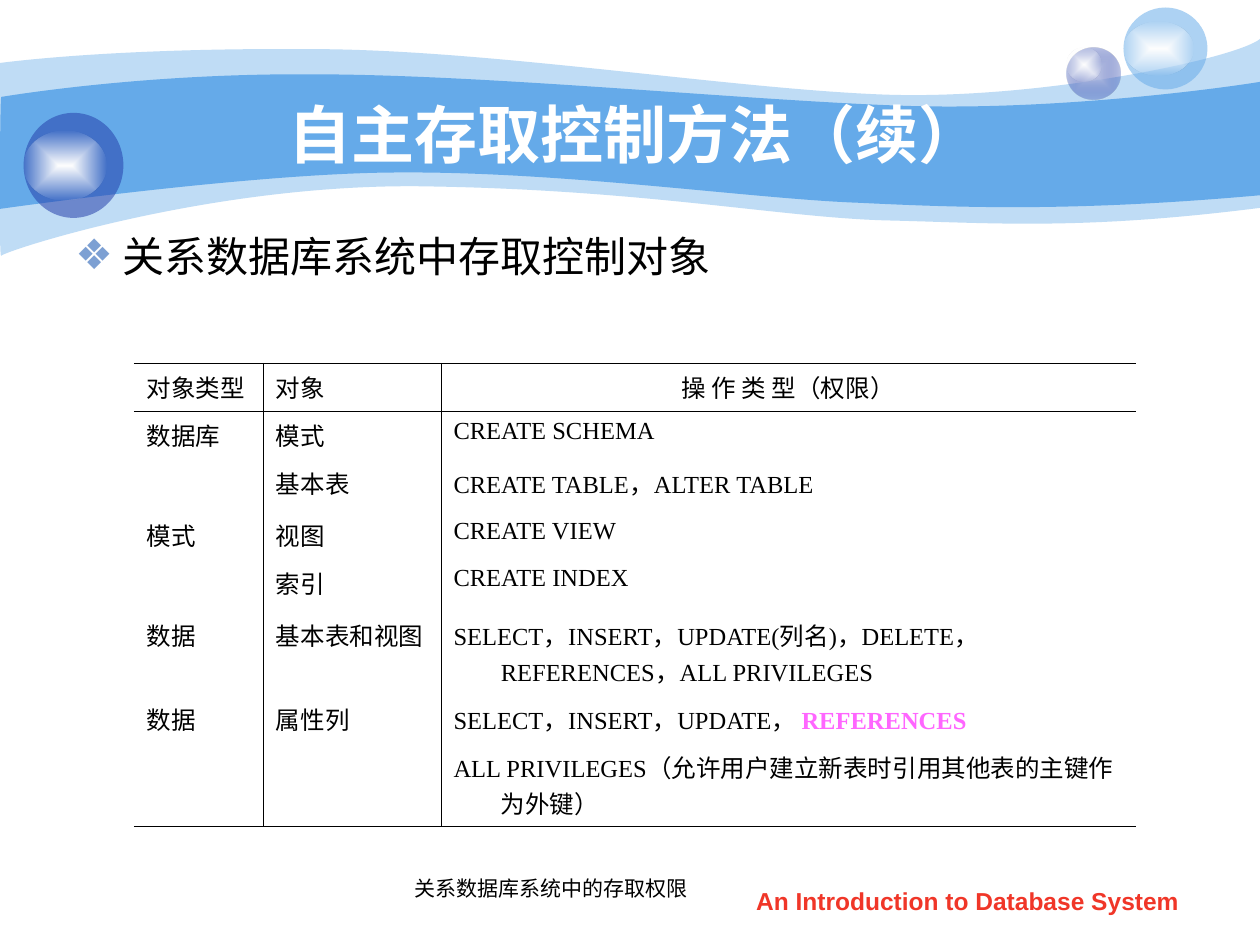
from lxml import etree
from pptx import Presentation
from pptx.dml.color import RGBColor
from pptx.enum.shapes import MSO_SHAPE
from pptx.enum.text import MSO_ANCHOR, PP_ALIGN
from pptx.oxml.ns import qn
from pptx.util import Pt

OVAL = MSO_SHAPE.OVAL
TOP, MIDDLE = MSO_ANCHOR.TOP, MSO_ANCHOR.MIDDLE
LEFT, CENTER = PP_ALIGN.LEFT, PP_ALIGN.CENTER
BLACK, WHITE, SKY, NAVY = "000000", "FFFFFF", "65AAE9", "233DA9"
SANS, SERIF = "Arial", "Times New Roman"
HANG = 27
NO_STYLE = "{2D5ABB26-0587-4C30-8999-92F81FD0307C}"
ONE_LINE, LOOSE_LINE, TWO_LINES = 27.4, 29.7, 48

OUTER_WAVE = [
    (0, 36),
    (17.3, 33.8, 77, 27.4, 177.8, 28.1),
    (277.9, 28.1, 414, 50.4, 503.3, 54),
    (591.8, 57.6, 705.6, 33.8, 720, 22.3),
    (720, 118.8),
    (617.8, 131.8, 566.6, 127.4, 507.6, 126),
    (447.8, 124.6, 370.8, 108.7, 247, 106.6),
    (123.8, 103.7, 2.9, 143.3, 0.7, 146.2),
    (-0.7, 149.8, 0, 54, 0, 36),
]
INNER_WAVE = [
    (0.7, 55.4),
    (1.4, 55.4, 79.2, 41.8, 178.6, 42.5),
    (277.9, 42.5, 428.4, 57.6, 517, 60.5),
    (605.5, 63.4, 702.7, 49.7, 720, 46.8),
    (720, 111.6),
    (614.2, 121, 550.8, 118.8, 491, 115.9),
    (431.3, 113.8, 321.8, 97.9, 228.2, 98.6),
    (146.2, 98.6, -1.4, 119.5, -0.7, 119.5),
    (0, 119.5, 0, 55.4, 0.7, 55.4),
]
ROWS = [
    (ONE_LINE, "对象类型", "对象", "操 作 类 型（权限）"),
    (ONE_LINE, "数据库", "模式", "CREATE SCHEMA"),
    (LOOSE_LINE, "", "基本表", "CREATE TABLE，ALTER TABLE"),
    (ONE_LINE, "模式", "视图", "CREATE VIEW"),
    (LOOSE_LINE, "", "索引", "CREATE INDEX"),
    (TWO_LINES, "数据", "基本表和视图",
     "SELECT，INSERT，UPDATE(列名)，DELETE，REFERENCES，ALL PRIVILEGES"),
    (ONE_LINE, "数据", "属性列", "SELECT，INSERT，UPDATE， "),
    (TWO_LINES, "", "", "ALL PRIVILEGES（允许用户建立新表时引用其他表的主键作为外键）"),
]


def rgb(color):
    return RGBColor.from_string(color)


def sub(parent, tag, **attrs):
    el = etree.SubElement(parent, qn(tag))
    for name, value in attrs.items():
        el.set(name, str(value))
    return el


def add_color(parent, color, alpha=100):
    clr = sub(parent, "a:srgbClr", val=color)
    if alpha < 100:
        sub(clr, "a:alpha", val=alpha * 1000)


def paint(sp, stops):
    sp.shadow.inherit = False
    sp.line.fill.background()
    sp.fill.background()
    old = sp._element.spPr.find(qn("a:noFill"))
    if len(stops) == 1:
        fill = etree.Element(qn("a:solidFill"))
        add_color(fill, *stops[0])
    else:
        fill = etree.Element(qn("a:gradFill"), rotWithShape="1")
        gs_list = sub(fill, "a:gsLst")
        for i, stop in enumerate(stops):
            add_color(sub(gs_list, "a:gs", pos=i * 100000), *stop)
        shade = sub(fill, "a:path")
        shade.set("path", "rect")
        sub(shade, "a:fillToRect", l=50000, t=50000, r=50000, b=50000)
    old.getparent().replace(old, fill)


def add_run(p, text, size=14, font=SERIF, color=BLACK, bold=False):
    r = p.add_run()
    r.text = text
    r.font.size, r.font.name, r.font.bold = Pt(size), font, bold
    r.font.color.rgb = rgb(color)
    return r


def hang(p):
    pPr = p._p.get_or_add_pPr()
    pPr.set("marL", str(Pt(HANG)))
    pPr.set("indent", str(-Pt(HANG)))
    return pPr


def add_text(s, box, text, align=LEFT, anchor=TOP, **fmt):
    tf = s.shapes.add_textbox(*map(Pt, box)).text_frame
    tf.word_wrap = True
    tf.vertical_anchor = anchor
    p = tf.paragraphs[0]
    p.alignment = align
    add_run(p, text, **fmt)
    return p


def add_wave(s, outline, alpha=100):
    points = [(Pt(x), Pt(y)) for seg in outline for x, y in zip(seg[::2], seg[1::2])]
    builder = s.shapes.build_freeform(*points[0])
    builder.add_line_segments(points[1:], close=True)
    sp = builder.convert_to_shape()
    lines = iter(list(sp._element.iter(qn("a:lnTo"))))
    for seg in outline[1:]:
        first = next(lines)
        if len(seg) == 6:
            curve = etree.Element(qn("a:cubicBezTo"))
            first.addprevious(curve)
            for line in (first, next(lines), next(lines)):
                curve.append(line[0])
                line.getparent().remove(line)
    paint(sp, [(SKY, alpha)])


def add_bubble(s, box, stops, glow):
    x, y, w, h = box
    dy, glow_w, glow_h = glow
    paint(s.shapes.add_shape(OVAL, *map(Pt, box)), stops)
    sp = s.shapes.add_shape(OVAL, Pt(x), Pt(y + dy), Pt(glow_w), Pt(glow_h))
    paint(sp, [(WHITE, 100), (WHITE, 0)])


def add_backdrop(s):
    add_wave(s, OUTER_WAVE, 41)
    add_wave(s, INNER_WAVE)
    add_bubble(s, (609.5, 27, 31, 29.5), [("C7CEE9", 100), (NAVY, 31)], (0, 20, 19.5))
    add_bubble(s, (642, 4.3, 48, 46.8), [(SKY, 53)], (8, 40, 31))
    add_bubble(s, (13.5, 64.5, 57, 60), [(NAVY, 53)], (10, 47.5, 40))


def add_heading(s, box):
    p = add_text(s, box, "关系数据库系统中存取控制对象", size=24, font=SANS)
    pPr = hang(p)
    add_color(sub(pPr, "a:buClr"), "7DA0D3")
    sub(pPr, "a:buFont", typeface=SANS)
    sub(pPr, "a:buChar", char="❖")


def set_borders(cell, sides):
    tcPr = cell._tc.get_or_add_tcPr()
    for i, side in enumerate("LRTB"):
        ln = etree.Element(qn("a:ln" + side), w=str(Pt(0.45)))
        if side in sides:
            add_color(sub(ln, "a:solidFill"), BLACK)
        else:
            sub(ln, "a:noFill")
        tcPr.insert(i, ln)


def add_privileges(s, box, widths):
    frame = s.shapes.add_table(len(ROWS), len(widths), *map(Pt, box))
    table = frame.table
    table.first_row = table.horz_banding = False
    table._tbl.tblPr.find(qn("a:tableStyleId")).text = NO_STYLE
    for column, width in zip(table.columns, widths):
        column.width = Pt(width)
    last_row, last_col = len(ROWS) - 1, len(widths) - 1
    for i, (height, *texts) in enumerate(ROWS):
        table.rows[i].height = Pt(height)
        for j, text in enumerate(texts):
            cell = table.cell(i, j)
            cell.fill.background()
            sides = ("L" if j else "") + ("R" if j < last_col else "")
            sides += ("T" if i < 2 else "") + ("B" if i in (0, last_row) else "")
            set_borders(cell, sides)
            if text:
                p = cell.text_frame.paragraphs[0]
                p.alignment = CENTER if (i, j) == (0, last_col) else LEFT
                hang(p)
                add_run(p, text)
    p = table.cell(6, last_col).text_frame.paragraphs[0]
    add_run(p, "REFERENCES", color="FF66FF", bold=True)


def main():
    prs = Presentation()
    prs.slide_width, prs.slide_height = Pt(720), Pt(540)
    s = prs.slides.add_slide(prs.slide_layouts[6])
    add_backdrop(s)
    add_text(s, (411, 502.5, 284, 25), "An Introduction to Database System",
             align=CENTER, font=SANS, color="F03628", bold=True)
    add_text(s, (72, 54, 582, 44.5), "自主存取控制方法（续）", align=CENTER,
             anchor=MIDDLE, size=36, font=SANS, color=WHITE, bold=True)
    add_heading(s, (36, 128, 647, 154))
    add_privileges(s, (76.5, 207.5, 572.5, 265), (74, 101.5, 397))
    add_text(s, (229.7, 493, 174.5, 29), "关系数据库系统中的存取权限",
             anchor=MIDDLE, size=12)
    prs.save("out.pptx")


if __name__ == "__main__":
    main()
